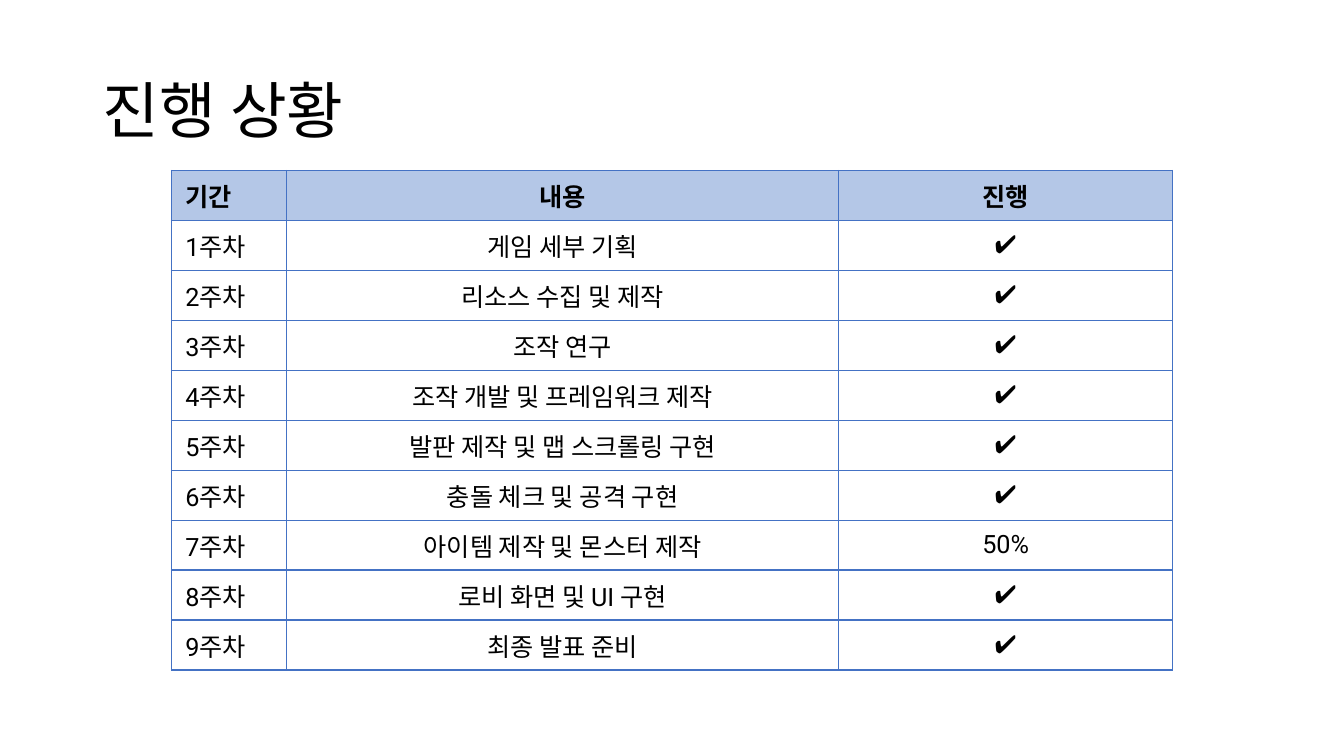
from lxml.etree import SubElement
from pptx import Presentation
from pptx.dml.color import RGBColor
from pptx.enum.text import MSO_ANCHOR, PP_ALIGN
from pptx.oxml.ns import qn
from pptx.util import Inches, Pt

FONT = "Roboto"
BLACK = RGBColor(0x00, 0x00, 0x00)
HEADER_BLUE = RGBColor(0xB4, 0xC7, 0xE7)
BORDER_BLUE = RGBColor(0x44, 0x72, 0xC4)

DONE = "✔️"
HEADERS = ("기간", "내용", "진행")
TASKS = (
    ("게임 세부 기획", DONE),
    ("리소스 수집 및 제작", DONE),
    ("조작 연구", DONE),
    ("조작 개발 및 프레임워크 제작", DONE),
    ("발판 제작 및 맵 스크롤링 구현", DONE),
    ("충돌 체크 및 공격 구현", DONE),
    ("아이템 제작 및 몬스터 제작", "50%"),
    ("로비 화면 및 UI 구현", DONE),
    ("최종 발표 준비", DONE),
)
COLUMN_WIDTHS = (1.14, 5.48, 3.31)
TABLE_LEFT, TABLE_TOP, TABLE_HEIGHT = 1.7, 1.69, 4.96


def format_paragraph(p, size, bold, align):
    p.alignment = align
    p.font.name = FONT
    p.font.size = Pt(size)
    p.font.bold = bold
    p.font.color.rgb = BLACK


def add_title(slide, text):
    title = slide.shapes.title
    title.left, title.top = Inches(0.92), Inches(0.4)
    title.width, title.height = Inches(11.5), Inches(1.45)
    tf = title.text_frame
    tf.text = text
    tf.vertical_anchor = MSO_ANCHOR.MIDDLE
    p = tf.paragraphs[0]
    p.line_spacing = 0.9
    format_paragraph(p, 44, False, PP_ALIGN.LEFT)


def set_borders(cell, color, width):
    """Draw the same line on all four sides; call before filling the cell."""
    tc_pr = cell._tc.get_or_add_tcPr()
    for side in ("a:lnL", "a:lnR", "a:lnT", "a:lnB"):
        line = SubElement(tc_pr, qn(side), w=str(Pt(width)))
        fill = SubElement(line, qn("a:solidFill"))
        SubElement(fill, qn("a:srgbClr"), val=str(color))


def fill_cell(cell, text, is_header, align):
    cell.text = text
    cell.vertical_anchor = MSO_ANCHOR.MIDDLE
    cell.margin_left = cell.margin_right = Inches(0.14)
    cell.margin_top = cell.margin_bottom = Inches(0.06)
    format_paragraph(cell.text_frame.paragraphs[0], 18, is_header, align)
    set_borders(cell, BORDER_BLUE, 1)
    if is_header:
        cell.fill.solid()
        cell.fill.fore_color.rgb = HEADER_BLUE
    else:
        cell.fill.background()


def add_schedule(slide, rows):
    table = slide.shapes.add_table(
        len(rows), len(COLUMN_WIDTHS), Inches(TABLE_LEFT), Inches(TABLE_TOP),
        Inches(sum(COLUMN_WIDTHS)), Inches(TABLE_HEIGHT)).table
    table.horz_banding = False
    for column, width in zip(table.columns, COLUMN_WIDTHS):
        column.width = Inches(width)
    for i, row in enumerate(rows):
        for j, text in enumerate(row):
            align = PP_ALIGN.CENTER if j else PP_ALIGN.LEFT
            fill_cell(table.cell(i, j), text, i == 0, align)


def main():
    prs = Presentation()
    prs.slide_width, prs.slide_height = Inches(13.33), Inches(7.5)
    slide = prs.slides.add_slide(prs.slide_layouts[5])
    add_title(slide, "진행 상황")
    weeks = [(f"{n}주차", *task) for n, task in enumerate(TASKS, start=1)]
    add_schedule(slide, [HEADERS, *weeks])
    prs.save("out.pptx")


if __name__ == "__main__":
    main()
